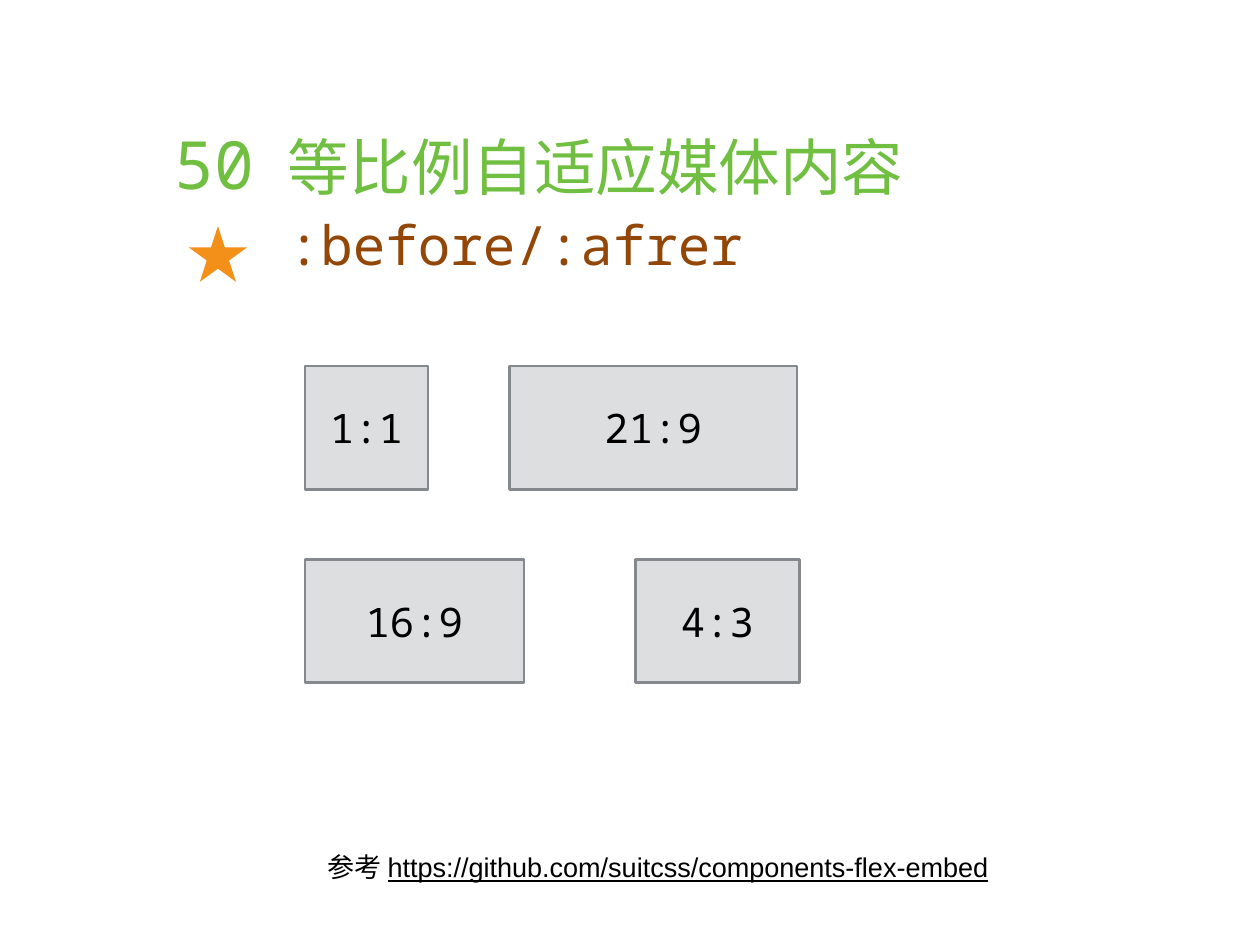
from lxml import etree
from pptx import Presentation
from pptx import util as u
from pptx.dml.color import RGBColor
from pptx.enum import shapes, text
from pptx.oxml import ns

GREEN = RGBColor(0x70, 0xBF, 0x41)
BROWN = RGBColor(0x92, 0x46, 0x07)
ORANGE = RGBColor(0xF3, 0x90, 0x19)
PALE_GREY = RGBColor(0xDC, 0xDE, 0xE0)
MID_GREY = RGBColor(0x85, 0x88, 0x8D)
BLACK = RGBColor(0, 0, 0)

MONO, HAN, SANS = "Noto Sans Mono", "Noto Sans CJK SC", "Arial"
BOX_HEIGHT = 1.39
RATIO_BOXES = [  # left, top, ratio
    (3.44, 4.13, (1, 1)),
    (5.75, 4.13, (21, 9)),
    (3.44, 6.31, (16, 9)),
    (7.17, 6.31, (4, 3)),
]


def add_text(para, words, size=22, font=SANS, color=BLACK, underline=None):
    span = para.add_run()
    span.text = words
    span.font.size = u.Pt(size)
    span.font.color.rgb = color
    span.font.underline = underline
    span.font.name = font
    east_asian = etree.SubElement(span.font._element, ns.qn("a:ea"))
    east_asian.set("typeface", HAN)


def set_margins(frame, margin):
    frame.margin_left = frame.margin_right = u.Inches(margin)
    frame.margin_top = frame.margin_bottom = u.Inches(margin)


def add_borders(cell, color, width):
    properties = cell._tc.get_or_add_tcPr()
    for side in ("a:lnL", "a:lnR", "a:lnT", "a:lnB"):
        line = etree.SubElement(properties, ns.qn(side), w=str(u.Pt(width)))
        fill = etree.SubElement(line, ns.qn("a:solidFill"))
        etree.SubElement(fill, ns.qn("a:srgbClr"), val=color)


class RatioPage:
    """Holds the slide and the shared look of its elements."""

    def __init__(self, deck):
        self.page = deck.slides.add_slide(deck.slide_layouts[6])

    def heading_table(self, left, top, widths, height):
        frame = self.page.shapes.add_table(
            1, len(widths), u.Inches(left), u.Inches(top),
            u.Inches(sum(widths)), u.Inches(height))
        table = frame.table
        table.first_row = table.horz_banding = False
        for column, width in zip(table.columns, widths):
            column.width = u.Inches(width)
        for cell in table.iter_cells():
            cell.margin_left = cell.margin_right = u.Inches(0.19)
            cell.margin_top = cell.margin_bottom = u.Inches(0.05)
            add_borders(cell, "FFFFFF", 0.45)
            cell.fill.background()
        return table

    def shape(self, kind, left, top, width, height, fill, line=None):
        shape = self.page.shapes.add_shape(
            kind, u.Inches(left), u.Inches(top), u.Inches(width), u.Inches(height))
        shape.shadow.inherit = False
        shape.fill.solid()
        shape.fill.fore_color.rgb = fill
        if line is None:
            shape.line.fill.background()
        else:
            shape.line.color.rgb = line
            shape.line.width = u.Pt(2)
        return shape

    def ratio_box(self, left, top, ratio):
        across, down = ratio
        box = self.shape(shapes.MSO_SHAPE.RECTANGLE, left, top,
                         BOX_HEIGHT * across / down, BOX_HEIGHT, PALE_GREY, MID_GREY)
        para = self.centre(box.text_frame)
        add_text(para, f"{across}:{down}", size=33, font=MONO)

    def text_box(self, left, top, width, height):
        box = self.page.shapes.add_textbox(
            u.Inches(left), u.Inches(top), u.Inches(width), u.Inches(height))
        box.text_frame.word_wrap = False
        return self.centre(box.text_frame)

    def centre(self, frame):
        """Centre the frame's text both ways and return its first paragraph."""
        set_margins(frame, 0.06)
        frame.vertical_anchor = text.MSO_ANCHOR.MIDDLE
        para = frame.paragraphs[0]
        para.alignment = text.PP_ALIGN.CENTER
        return para


def main():
    deck = Presentation()
    deck.slide_width, deck.slide_height = u.Inches(14.22), u.Inches(10.66)
    page = RatioPage(deck)

    table = page.heading_table(1.29, 1.29, [1.77, 9.88], 8.08)
    number = table.cell(0, 0).text_frame.paragraphs[0]
    number.alignment = text.PP_ALIGN.RIGHT
    add_text(number, "50", size=54, font=MONO, color=GREEN)
    heading = table.cell(0, 1).text_frame
    add_text(heading.paragraphs[0], "等比例自适应媒体内容", size=50, font=HAN, color=GREEN)
    add_text(heading.add_paragraph(), ":before/:afrer", size=44, font=MONO, color=BROWN)

    reference = page.text_box(3.3, 9.54, 8.25, 0.48)
    add_text(reference, "参考 ")
    add_text(reference, "https://github.com/suitcss/components-flex-embed", underline=True)

    page.shape(shapes.MSO_SHAPE.STAR_5_POINT, 2.13, 2.55, 0.66, 0.63, ORANGE)
    for left, top, ratio in RATIO_BOXES:
        page.ratio_box(left, top, ratio)

    deck.save("out.pptx")


if __name__ == "__main__":
    main()
